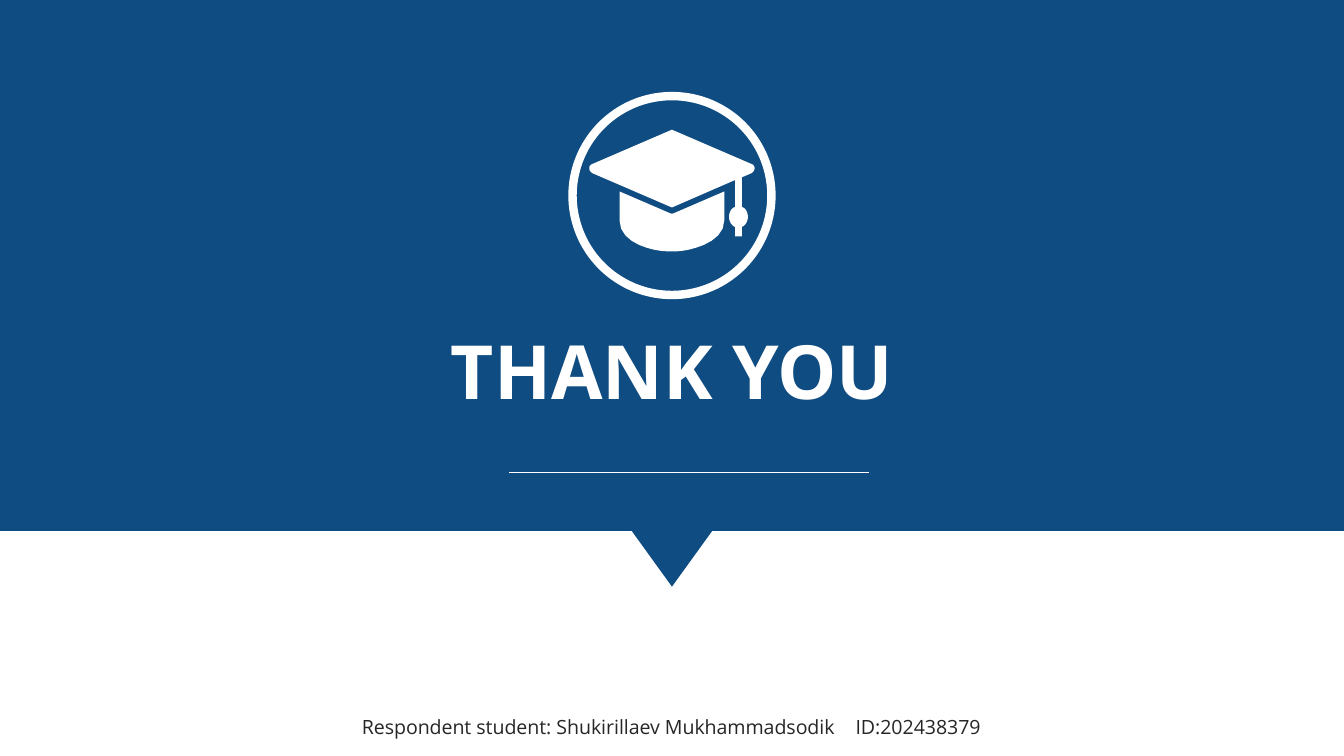
from lxml import etree
from pptx import Presentation
from pptx.dml.color import RGBColor
from pptx.enum.shapes import MSO_CONNECTOR, MSO_SHAPE
from pptx.enum.text import MSO_AUTO_SIZE, PP_ALIGN
from pptx.oxml.ns import qn
from pptx.util import Pt

PX = 4572
WIDTH, HEIGHT = 2000, 1125
MID = WIDTH // 2
STEPS = 8
BLUE = RGBColor(0x0F, 0x4C, 0x82)
WHITE = RGBColor(0xFF, 0xFF, 0xFF)
DARK = RGBColor(0x26, 0x26, 0x26)
OVAL = MSO_SHAPE.OVAL
LINE = MSO_CONNECTOR.STRAIGHT
CENTER = PP_ALIGN.CENTER
GROW = MSO_AUTO_SIZE.SHAPE_TO_FIT_TEXT

BAND = [[(0, 0), (WIDTH, 0), (WIDTH, 790), (MID + 60, 790), (MID, 873),
         (MID - 60, 790), (0, 790)]]
BOARD = [(1118, 244), (1002, 194), (1000, 193, 1000, 193, 998, 194),
         (882, 244), (879, 245, 877, 247, 877, 250),
         (877, 254, 879, 256, 882, 258), (998, 308),
         (1000, 309, 1000, 309, 1002, 308), (1094, 268), (1094, 308),
         (1088, 310, 1085, 316, 1085, 323), (1085, 329, 1088, 335, 1094, 338),
         (1094, 352), (1104, 352), (1104, 338),
         (1110, 335, 1113, 329, 1113, 323), (1113, 316, 1110, 310, 1104, 308),
         (1104, 264), (1118, 258), (1121, 256, 1123, 254, 1123, 250),
         (1123, 247, 1121, 245, 1118, 244)]
BASE = [(1000, 318), (998, 318, 996, 317, 994, 316), (922, 285), (922, 328),
        (922, 364, 976, 374, 992, 374), (1008, 374),
        (1020, 374, 1078, 364, 1078, 328), (1078, 285), (1006, 316),
        (1004, 317, 1002, 318, 1000, 318)]


def emu(*vals):
    return [round(v * PX) for v in vals]


def bend(start, curve):
    ends = [start, curve[:2], curve[2:4], curve[4:]]
    for i in range(1, STEPS + 1):
        t = i / STEPS
        mix = ((1 - t) ** 3, 3 * t * (1 - t) ** 2, 3 * t * t * (1 - t), t ** 3)
        yield tuple(sum(m * p[a] for m, p in zip(mix, ends)) for a in (0, 1))


def trace(loop):
    dots = [loop[0]]
    for step in loop[1:]:
        dots.extend([step] if len(step) == 2 else bend(dots[-1], step))
    return [tuple(emu(*dot)) for dot in dots]


class Deck:
    def __init__(self):
        self.prs = Presentation()
        self.prs.slide_width, self.prs.slide_height = emu(WIDTH, HEIGHT)
        self.slide = self.prs.slides.add_slide(self.prs.slide_layouts[6])
        self.shapes = self.slide.shapes
        self.font = "Open Sans"

    def paint(self, shape, fill, edge=None, width=0):
        shape.shadow.inherit = False
        shape.fill.solid()
        shape.fill.fore_color.rgb = fill
        if edge is None:
            shape.line.fill.background()
        else:
            shape.line.color.rgb = edge
            shape.line.width = Pt(width)

    def free(self, loops, fill, home=None):
        pens = [trace(loop) for loop in loops]
        form = (home or self.shapes).build_freeform(*pens[0][0], scale=1)
        for i, dots in enumerate(pens):
            if i:
                form.move_to(*dots[0])
            form.add_line_segments(dots[1:], close=True)
        self.paint(form.convert_to_shape(), fill)

    def ring(self, box, fill, edge, width, home):
        self.paint(home.add_shape(OVAL, *emu(*box)), fill, edge, width)

    def rule(self, ends, color, width):
        line = self.shapes.add_connector(LINE, *emu(*ends))
        line.line.color.rgb = color
        line.line.width = Pt(width)
        etree.SubElement(line._element.spPr, qn("a:effectLst"))

    def text(self, box, parts, size, color, bold=False, wrap=True, lead=None):
        frame = self.shapes.add_textbox(*emu(*box)).text_frame
        frame.word_wrap = wrap
        frame.auto_size = GROW
        para = frame.paragraphs[0]
        para.alignment = CENTER
        para.line_spacing = lead
        style = {"name": self.font, "size": Pt(size), "bold": bold}
        for words, gap in parts:
            run = para.add_run()
            run.text = words
            for key, val in style.items():
                setattr(run.font, key, val)
            run.font.color.rgb = color
            if gap:
                run._r.get_or_add_rPr().set("spc", str(gap))


def main():
    deck = Deck()
    deck.free(BAND, BLUE)
    deck.text((650, 473, 700, 154), [("THANK YOU", 0)], 40, WHITE,
              bold=True, wrap=False)
    deck.rule((758, 703, 1293, 703), WHITE, 0.5)
    badge = deck.shapes.add_group_shape().shapes
    deck.ring((852, 143, 296, 296), BLUE, WHITE, 4.5, badge)
    deck.free([BOARD, BASE], WHITE, badge)
    deck.text((73, 1037, 1852, 72),
              [("Respondent student: Shukirillaev Mukhammadsodik", 0),
               (" ", 820), ("ID:202438379", 0)], 10.5, DARK, lead=1.5)
    deck.prs.save("out.pptx")


if __name__ == "__main__":
    main()
